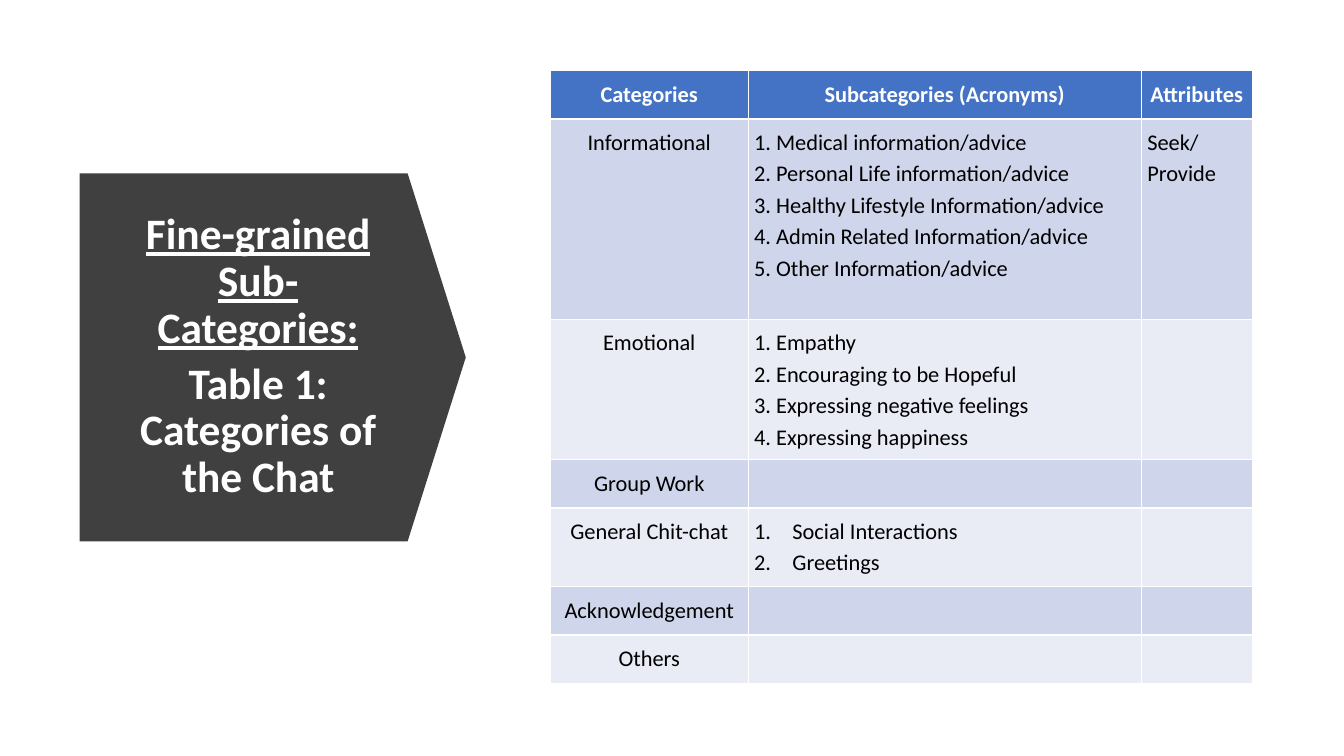
from lxml import etree
from pptx import Presentation
from pptx.dml.color import RGBColor
from pptx.enum.shapes import MSO_SHAPE
from pptx.enum.text import MSO_ANCHOR, MSO_AUTO_SIZE, PP_ALIGN
from pptx.oxml.ns import qn
from pptx.util import Inches, Pt

CENTER, LEFT = PP_ALIGN.CENTER, PP_ALIGN.LEFT
MIDDLE = MSO_ANCHOR.MIDDLE
NO_AUTOFIT = MSO_AUTO_SIZE.NONE
DOWN_ARROW = MSO_SHAPE.DOWN_ARROW

COLORS = {"arrow": "404040", "header": "4472C4", "odd": "CFD5EA",
          "even": "E9EBF5", "white": "FFFFFF", "black": "000000"}
FONT = "Calibri"

TITLE = [("Fine-grained Sub-Categories:", True),
         ("Table 1: Categories of the Chat", False)]
HEADERS = ["Categories", "Subcategories (Acronyms)", "Attributes"]
CATEGORIES = [
    ("Informational", ["1. Medical information/advice",
                       "2. Personal Life information/advice",
                       "3. Healthy Lifestyle Information/advice",
                       "4. Admin Related Information/advice",
                       "5. Other Information/advice"], "Seek/Provide"),
    ("Emotional", ["1. Empathy", "2. Encouraging to be Hopeful",
                   "3. Expressing negative feelings",
                   "4. Expressing happiness"], ""),
    ("Group Work", [], ""),
    ("General Chit-chat", ["Social Interactions", "Greetings"], ""),
    ("Acknowledgement", [], ""),
    ("Others", [], ""),
]
NUMBERED = "General Chit-chat"
COLUMN_WIDTHS = [1.96, 3.9, 1.1]
ROW_HEIGHTS = [0.48, 1.99, 1.39, 0.48, 0.78, 0.48, 0.48]


def rgb(name):
    """Return the named colour."""
    return RGBColor.from_string(COLORS[name])


def box(left, top, width, height):
    """Return a position and size as lengths."""
    return [Inches(value) for value in (left, top, width, height)]


def write(frame, lines, paragraph_format, font_format, color):
    """Write each line as a formatted paragraph and return the paragraphs."""
    for index, line in enumerate(lines):
        paragraph = frame.paragraphs[0] if index == 0 else frame.add_paragraph()
        for key, value in paragraph_format.items():
            setattr(paragraph, key, value)
        run = paragraph.add_run()
        run.text = line
        for key, value in font_format.items():
            setattr(run.font, key, value)
        run.font.color.rgb = rgb(color)
    return frame.paragraphs


def number(paragraph):
    """Give a paragraph an automatic number with a hanging indent."""
    properties = paragraph._p.get_or_add_pPr()
    properties.set("marL", str(Inches(0.38)))
    properties.set("indent", str(-Inches(0.38)))
    etree.SubElement(properties, qn("a:buFont")).set("typeface", "+mj-lt")
    etree.SubElement(properties, qn("a:buAutoNum")).set("type", "arabicPeriod")


def add_title(slide):
    """Fill the title placeholder and put the arrow behind it."""
    title = slide.shapes.title
    title.left, title.top, title.width, title.height = box(1.12, 2.15, 2.88, 2.79)
    frame = title.text_frame
    for key, value in {"word_wrap": True, "auto_size": NO_AUTOFIT,
                       "vertical_anchor": MIDDLE}.items():
        setattr(frame, key, value)
    paragraphs = write(frame, [text for text, _ in TITLE],
                       {"alignment": CENTER, "line_spacing": 0.9,
                        "space_after": Pt(6)},
                       {"name": FONT, "size": Pt(31), "bold": True}, "white")
    for paragraph, (_, underlined) in zip(paragraphs, TITLE):
        paragraph.runs[0].font.underline = underlined

    arrow = slide.shapes.add_shape(DOWN_ARROW, *box(0.88, 1.63, 3.65, 3.83))
    arrow.rotation = 270
    arrow.adjustments[0], arrow.adjustments[1] = 1, 0.158
    arrow.shadow.inherit = False
    arrow.fill.solid()
    arrow.fill.fore_color.rgb = rgb("arrow")
    arrow.line.fill.background()
    title._element.addprevious(arrow._element)


def add_categories(slide):
    """Add the table of categories; its style draws the white borders."""
    rows = [[[header] for header in HEADERS]]
    rows += [[[name], items, [attribute] if attribute else []]
             for name, items, attribute in CATEGORIES]
    table = slide.shapes.add_table(len(rows), len(HEADERS),
                                   *box(5.46, 0.7, 6.95, 6.09)).table
    for column, width in zip(table.columns, COLUMN_WIDTHS):
        column.width = Inches(width)
    for row, height in zip(table.rows, ROW_HEIGHTS):
        row.height = Inches(height)

    for r, row in enumerate(rows):
        is_header = r == 0
        fill = "header" if is_header else ("odd" if r % 2 else "even")
        for c, lines in enumerate(row):
            cell = table.cell(r, c)
            for side in ("left", "top", "right", "bottom"):
                setattr(cell, "margin_" + side, Inches(0.06))
            cell.fill.solid()
            cell.fill.fore_color.rgb = rgb(fill)
            paragraphs = write(
                cell.text_frame, lines,
                {"alignment": CENTER if is_header or c == 0 else LEFT,
                 "line_spacing": 1.15},
                {"name": FONT, "size": Pt(16), "bold": is_header},
                "white" if is_header else "black")
            if c == 1 and row[0] == [NUMBERED]:
                for paragraph in paragraphs:
                    number(paragraph)


prs = Presentation()
prs.slide_width, prs.slide_height = Inches(13.33), Inches(7.5)
slide = prs.slides.add_slide(prs.slide_layouts[5])
add_title(slide)
add_categories(slide)
prs.save("out.pptx")
